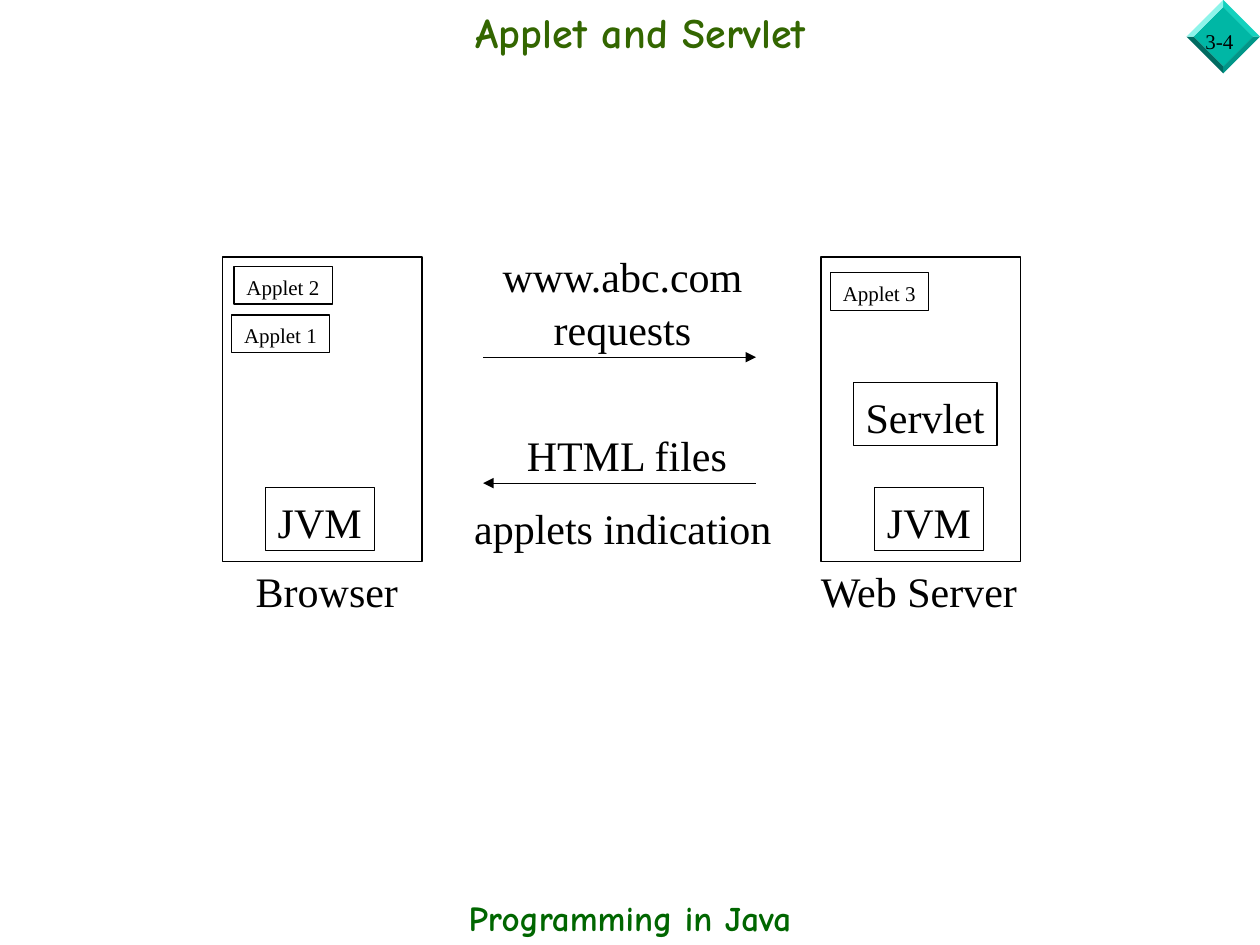
from dataclasses import dataclass

import pptx
import pptx.dml.color
import pptx.enum.shapes
import pptx.enum.text
import pptx.oxml
import pptx.oxml.ns
import pptx.util

Cm, Pt = pptx.util.Cm, pptx.util.Pt
RGBColor = pptx.dml.color.RGBColor
PP_ALIGN = pptx.enum.text.PP_ALIGN
MSO_ANCHOR = pptx.enum.text.MSO_ANCHOR
MSO_AUTO_SIZE = pptx.enum.text.MSO_AUTO_SIZE

BLACK = RGBColor(0x00, 0x00, 0x00)
TITLE_GREEN = RGBColor(0x33, 0x66, 0x00)
FOOTER_GREEN = RGBColor(0x00, 0x66, 0x00)
GEM_FACE = RGBColor(0x00, 0xB7, 0xA5)
GEM_EDGES = (
    RGBColor(0x14, 0xD1, 0xBE),  # top right
    RGBColor(0x00, 0x96, 0x88),  # bottom right
    RGBColor(0x00, 0x6B, 0x61),  # bottom left
    RGBColor(0x8C, 0xF4, 0xEA),  # top left
)
SERIF, COMIC = "Times New Roman", "Comic Neue"
LINE_WIDTH = Pt(0.75)


@dataclass
class Label:
    """Text with its place in centimetres."""
    text: str
    left: float
    top: float
    width: float
    height: float
    size: int = 24
    font: str = SERIF
    color: RGBColor = BLACK
    bold: bool = False
    align: PP_ALIGN = PP_ALIGN.LEFT
    wrap: bool = False
    boxed: bool = False


@dataclass
class Arrow:
    """Horizontal arrow, in centimetres."""
    start: float
    end: float
    y: float
    head: str


def write_text(sp, label: Label, **frame) -> None:
    tf = sp.text_frame
    settings = dict(word_wrap=label.wrap, margin_left=Cm(0.25), margin_right=Cm(0.25),
                    margin_top=Cm(0.13), margin_bottom=Cm(0.13),
                    auto_size=MSO_AUTO_SIZE.SHAPE_TO_FIT_TEXT,
                    vertical_anchor=MSO_ANCHOR.TOP) | frame
    for name, value in settings.items():
        setattr(tf, name, value)
    tf.text = label.text
    for p in tf.paragraphs:
        p.alignment = label.align
        p.line_spacing = 1.05 if label.font == SERIF else 1.0
        for r in p.runs:
            for name, value in dict(name=label.font, size=Pt(label.size), bold=label.bold).items():
                setattr(r.font, name, value)
            r.font.color.rgb = label.color


def add_box(s, left: float, top: float, width: float, height: float):
    sp = s.shapes.add_shape(pptx.enum.shapes.MSO_SHAPE.RECTANGLE,
                            Cm(left), Cm(top), Cm(width), Cm(height))
    sp.shadow.inherit = False
    sp.fill.background()
    sp.line.color.rgb = BLACK
    sp.line.width = LINE_WIDTH
    return sp


def add_label(s, label: Label) -> None:
    place = (label.left, label.top, label.width, label.height)
    sp = add_box(s, *place) if label.boxed else s.shapes.add_textbox(*map(Cm, place))
    write_text(sp, label)


def add_arrow(s, arrow: Arrow) -> None:
    sp = s.shapes.add_connector(pptx.enum.shapes.MSO_CONNECTOR.STRAIGHT,
                                Cm(arrow.start), Cm(arrow.y), Cm(arrow.end), Cm(arrow.y))
    sp.line.color.rgb = BLACK
    sp.line.width = LINE_WIDTH
    ns = pptx.oxml.ns.nsdecls("a")
    sp.line._get_or_add_ln().append(
        pptx.oxml.parse_xml(f'<a:{arrow.head} {ns} type="triangle"/>'))
    sp._element.spPr.append(pptx.oxml.parse_xml(f"<a:effectLst {ns}/>"))


def add_polygon(group, points: list[tuple[float, float]], color: RGBColor) -> None:
    first, *rest = [(Cm(x), Cm(y)) for x, y in points]
    builder = group.shapes.build_freeform(*first)
    builder.add_line_segments(rest, close=True)
    sp = builder.convert_to_shape()
    sp.shadow.inherit = False
    sp.fill.solid()
    sp.fill.fore_color.rgb = color
    sp.line.fill.background()


def add_gem(s, x: float, y: float, outer: float, inner: float) -> None:
    group = s.shapes.add_group_shape()
    rims = [[(x, y - d), (x + d, y), (x, y + d), (x - d, y)] for d in (outer, inner)]
    add_polygon(group, rims[1], GEM_FACE)
    for i, color in enumerate(GEM_EDGES):
        j = (i + 1) % 4
        add_polygon(group, [rims[1][i], rims[0][i], rims[0][j], rims[1][j]], color)


TITLE = Label("Applet and Servlet", 2.12, 0, 21.59, 1.27, 24, COMIC, TITLE_GREEN, True,
              PP_ALIGN.CENTER, True)
LABELS = [
    # Page number and footer
    Label("3-4", 24.05, 0.43, 1.35, 0.76, 12, wrap=True),
    Label("Programming in Java", 0, 17.95, 25.4, 1.11, 20, COMIC, FOOTER_GREEN, True,
          PP_ALIGN.CENTER, True),
    # Captions
    Label("Browser", 4.9, 11.22, 3.38, 1.27, align=PP_ALIGN.CENTER),
    Label("Web Server", 16.3, 11.22, 4.52, 1.27),
    Label("www.abc.com\nrequests", 9.86, 4.88, 5.38, 2.3, align=PP_ALIGN.CENTER),
    Label("HTML files", 10.37, 8.47, 4.56, 1.27),
    Label("applets indication", 9.31, 9.95, 6.5, 1.27),
    # Components in the browser and the server
    Label("JVM", 5.35, 9.83, 2.2, 1.27, boxed=True),
    Label("JVM", 17.63, 9.83, 2.2, 1.27, boxed=True),
    Label("Servlet", 17.2, 7.71, 2.9, 1.27, boxed=True),
    Label("Applet 1", 4.67, 6.35, 1.98, 0.76, 12, boxed=True),
    Label("Applet 2", 4.72, 5.37, 1.98, 0.76, 12, boxed=True),
    Label("Applet 3", 16.74, 5.5, 1.98, 0.76, 12, boxed=True),
]
HOST_LEFTS = (4.49, 16.55)
ARROWS = [Arrow(9.74, 15.24, 7.2, "tailEnd"), Arrow(9.74, 15.24, 9.74, "headEnd")]


def main() -> None:
    prs = pptx.Presentation()
    prs.slide_width, prs.slide_height = Cm(25.4), Cm(19.05)
    s = prs.slides.add_slide(prs.slide_layouts[5])

    # Title
    title = s.shapes.title
    for name in ("left", "top", "width", "height"):
        setattr(title, name, Cm(getattr(TITLE, name)))
    write_text(title, TITLE, auto_size=MSO_AUTO_SIZE.NONE, vertical_anchor=MSO_ANCHOR.MIDDLE)

    # Corner gem, below the page number
    add_gem(s, 24.66, 0.74, 0.74, 0.6)

    # Browser and server outlines
    for left in HOST_LEFTS:
        add_box(s, left, 5.18, 4.02, 6.14)

    for label in LABELS:
        add_label(s, label)
    for arrow in ARROWS:
        add_arrow(s, arrow)
    prs.save("out.pptx")


if __name__ == "__main__":
    main()
